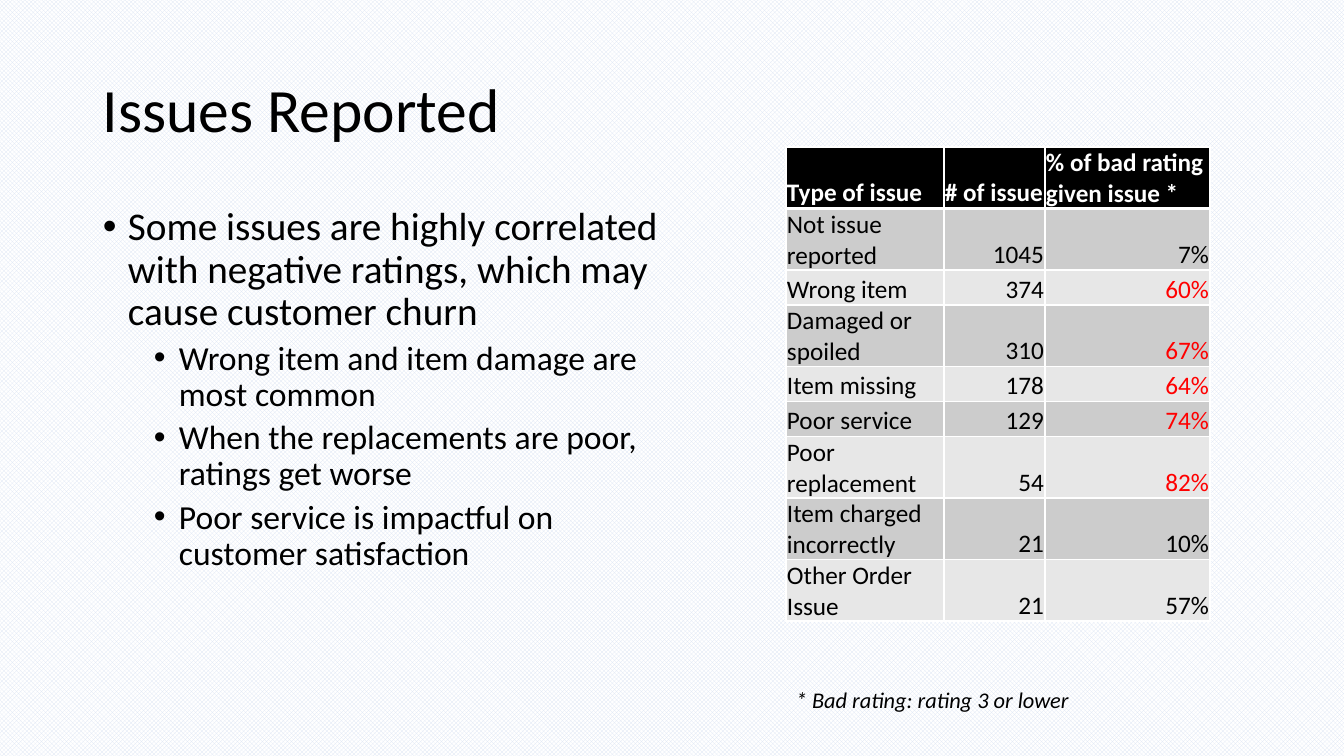
from lxml import etree
from pptx import Presentation
from pptx import util as u
from pptx.dml.color import RGBColor
from pptx.enum import dml, text
from pptx.oxml.ns import qn

# Content
TITLE = "Issues Reported"
BULLETS = [
    (0, "Some issues are highly correlated with negative ratings, which may cause customer churn"),
    (1, "Wrong item and item damage are most common"),
    (1, "When the replacements are poor, ratings get worse"),
    (1, "Poor service is impactful on customer satisfaction"),
]
HEADER = ("Type of issue", "# of issue", "% of bad rating given issue *")
ISSUES = [  # type, count, bad rating share, highlighted
    ("Not issue reported", 1045, 7, False),
    ("Wrong item", 374, 60, True),
    ("Damaged or spoiled", 310, 67, True),
    ("Item missing", 178, 64, True),
    ("Poor service", 129, 74, True),
    ("Poor replacement", 54, 82, True),
    ("Item charged incorrectly", 21, 10, False),
    ("Other Order Issue", 21, 57, False),
]
FOOTNOTE = "* Bad rating: rating 3 or lower"

# Theme
THEME = dict(
    font="Calibri", ink="000000", white="FFFFFF", alert="FF0000", pattern="DAE3F3",
    header="000000", bands=("CCCCCC", "E7E7E7"),
    title=44, levels=(28, 24), table=18, note=16,
)

# Layout in px
SLIDE = (1344, 756)
TITLE_BOX = (93, 40, 1159, 146)
BODY_BOX = (93, 202, 580, 480)
TABLE_AT = (786, 147)
COLS = (158, 101, 165)
HEAD_H, ROW_H = 48, 35
NOTE_BOX = (786, 681, 302, 37)
INDENTS, HANG = (25, 76), 25


def px(n):
    return u.Emu(round(n * 914400 / 100.8))


def color(name):
    return RGBColor.from_string(THEME.get(name, name))


def style(font, size, ink="ink", bold=False, italic=False):
    font.name, font.size = THEME["font"], u.Pt(size)
    font.bold, font.italic = bold, italic
    font.color.rgb = color(ink)


def add_text(s, box, wrap=True):
    tf = s.shapes.add_textbox(*map(px, box)).text_frame
    tf.word_wrap = wrap
    return tf


def add_bullet(p, level):
    pPr = p._p.get_or_add_pPr()
    pPr.set("marL", str(px(INDENTS[level])))
    pPr.set("indent", str(-px(HANG)))
    etree.SubElement(pPr, qn("a:buFont")).set("typeface", "Arial")
    etree.SubElement(pPr, qn("a:buChar")).set("char", "•")


def add_borders(cell, widths):
    tcPr = cell._tc.get_or_add_tcPr()
    for side, width in zip("LRTB", widths):
        ln = etree.SubElement(tcPr, qn(f"a:ln{side}"), w=str(u.Pt(width)))
        fill = etree.SubElement(ln, qn("a:solidFill"))
        etree.SubElement(fill, qn("a:srgbClr")).set("val", THEME["white"])


def fill_cell(cell, value, fill, ink, bold, right, widths):
    cell.margin_left = cell.margin_right = cell.margin_top = px(1)
    cell.margin_bottom = 0
    cell.vertical_anchor = text.MSO_ANCHOR.BOTTOM
    add_borders(cell, widths)
    cell.fill.solid()
    cell.fill.fore_color.rgb = color(fill)
    p = cell.text_frame.paragraphs[0]
    p.text = value
    p.alignment = text.PP_ALIGN.RIGHT if right else text.PP_ALIGN.LEFT
    style(p.runs[0].font, THEME["table"], ink, bold)


def add_issue_table(s):
    size = (sum(COLS), HEAD_H + ROW_H * len(ISSUES))
    table = s.shapes.add_table(len(ISSUES) + 1, len(COLS), *map(px, TABLE_AT + size)).table
    for col, width in zip(table.columns, COLS):
        col.width = px(width)
    for i, row in enumerate(table.rows):
        row.height = px(ROW_H if i else HEAD_H)
    for j, label in enumerate(HEADER):
        fill_cell(table.cell(0, j), label, "header", "white", True, False, (1, 1, 1, 3))
    for i, (issue, count, share, flagged) in enumerate(ISSUES):
        band = THEME["bands"][i % 2]
        widths = (1, 1, 1 if i else 3, 1)
        for j, value in enumerate((issue, str(count), f"{share}%")):
            ink = "alert" if flagged and j == 2 else "ink"
            fill_cell(table.cell(i + 1, j), value, band, ink, False, j > 0, widths)


def main():
    prs = Presentation()
    prs.slide_width, prs.slide_height = map(px, SLIDE)
    s = prs.slides.add_slide(prs.slide_layouts[6])

    # Background
    bg = s.background.fill
    bg.patterned()
    bg.pattern = dml.MSO_PATTERN.TRELLIS
    bg.fore_color.rgb, bg.back_color.rgb = color("pattern"), color("white")

    # Title
    tf = add_text(s, TITLE_BOX)
    tf.vertical_anchor = text.MSO_ANCHOR.MIDDLE
    p = tf.paragraphs[0]
    p.text, p.line_spacing = TITLE, 0.9
    style(p.runs[0].font, THEME["title"])

    # Bullets
    tf = add_text(s, BODY_BOX)
    for i, (level, line) in enumerate(BULLETS):
        p = tf.add_paragraph() if i else tf.paragraphs[0]
        p.text, p.level = line, level
        add_bullet(p, level)
        p.line_spacing = 0.9
        p.space_before = u.Pt(5 if i else 0)
        style(p.runs[0].font, THEME["levels"][level])

    # Table
    add_issue_table(s)

    # Footnote
    tf = add_text(s, NOTE_BOX, wrap=False)
    tf.auto_size = text.MSO_AUTO_SIZE.SHAPE_TO_FIT_TEXT
    p = tf.paragraphs[0]
    p.text = FOOTNOTE
    style(p.runs[0].font, THEME["note"], italic=True)

    prs.save("out.pptx")


if __name__ == "__main__":
    main()
